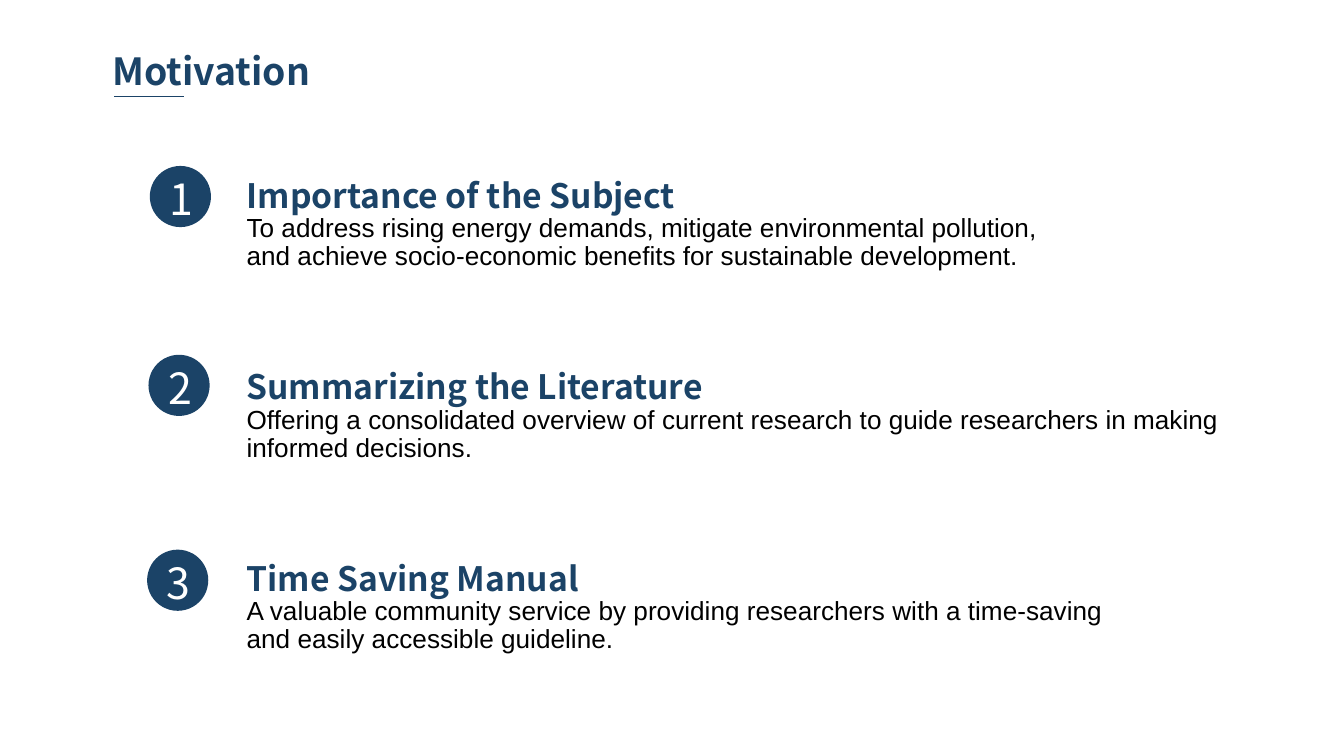
from lxml.etree import SubElement
from pptx import Presentation
from pptx.dml.color import RGBColor
from pptx.enum.shapes import MSO_CONNECTOR, MSO_SHAPE
from pptx.enum.text import MSO_AUTO_SIZE, PP_ALIGN
from pptx.oxml.ns import qn
from pptx.util import Emu, Pt

NAVY = RGBColor(0x1B, 0x43, 0x67)
BLACK = RGBColor(0, 0, 0)
WHITE = RGBColor(0xFF, 0xFF, 0xFF)
HEADING_FONT, BODY_FONT = "Noto Sans CJK SC", "Arial"

TITLE = {"name": HEADING_FONT, "size": Pt(20), "bold": True, "color": NAVY}
HEADING = {**TITLE, "size": Pt(18)}
BODY = {"name": BODY_FONT, "size": Pt(14), "bold": False, "color": BLACK}
NUMBER = {"name": HEADING_FONT, "size": Pt(23), "bold": False, "color": WHITE}


def px(length):
    """Convert px, 200 to the inch, into EMU."""
    return Emu(length * 4572)


class SlideBuilder:
    def __init__(self, presentation):
        self.slide = presentation.slides.add_slide(presentation.slide_layouts[6])

    def text(self, box, lines, margins=(15, 8), shapes=None, **layout):
        """Add a text box; lines holds pairs of wording and font format."""
        shapes = self.slide.shapes if shapes is None else shapes
        frame = shapes.add_textbox(*map(px, box)).text_frame
        frame.word_wrap = True
        frame.auto_size = MSO_AUTO_SIZE.SHAPE_TO_FIT_TEXT
        frame.margin_left = frame.margin_right = px(margins[0])
        frame.margin_top = frame.margin_bottom = px(margins[1])
        for index, (wording, style) in enumerate(lines):
            paragraph = frame.add_paragraph() if index else frame.paragraphs[0]
            for name, value in layout.items():
                setattr(paragraph, name, value)
            run = paragraph.add_run()
            run.text = wording
            for name, value in style.items():
                if name == "color":
                    run.font.color.rgb = value
                else:
                    setattr(run.font, name, value)

    def badge(self, left, top, number):
        """Add a numbered disc as one group."""
        shapes = self.slide.shapes.add_group_shape().shapes
        disc = shapes.add_shape(MSO_SHAPE.OVAL, *map(px, (left, top, 91, 91)))
        disc.shadow.inherit = False
        disc.fill.solid()
        disc.fill.fore_color.rgb = NAVY
        disc.line.fill.background()
        self.text((left + 2, top, 90, 98), [(str(number), NUMBER)],
                  margins=(20, 10), shapes=shapes, alignment=PP_ALIGN.CENTER)

    def rule(self, left, top, width):
        """Add a thin horizontal line."""
        line = self.slide.shapes.add_connector(
            MSO_CONNECTOR.STRAIGHT, *map(px, (left, top, left + width, top)))
        line.line.color.rgb = NAVY
        line.line.width = Pt(0.75)
        SubElement(line._element.spPr, qn("a:effectLst"))


# Badge left and top, text top and width, heading, description
REASONS = [
    (223, 247, 270, 1212, "Importance of the Subject",
     "To address rising energy demands, mitigate environmental pollution, "
     "and achieve socio-economic benefits for sustainable development."),
    (221, 528, 555, 1502, "Summarizing the Literature",
     "Offering a consolidated overview of current research to guide "
     "researchers in making informed decisions."),
    (219, 818, 840, 1356, "Time Saving Manual",
     "A valuable community service by providing researchers with a "
     "time-saving and easily accessible guideline."),
]


def main():
    presentation = Presentation()
    presentation.slide_width, presentation.slide_height = px(2000), px(1125)
    builder = SlideBuilder(presentation)

    # Numbered reasons
    for number, reason in enumerate(REASONS, 1):
        left, badge_top, text_top, width, heading, description = reason
        builder.badge(left, badge_top, number)
        builder.text((352, text_top, width, 142),
                     [(heading, HEADING), (description, BODY)],
                     line_spacing=Pt(15))

    # Underlined title
    builder.rule(170, 144, 104)
    builder.text((152, 64, 494, 82), [("Motivation", TITLE)])

    presentation.save("out.pptx")


if __name__ == "__main__":
    main()
